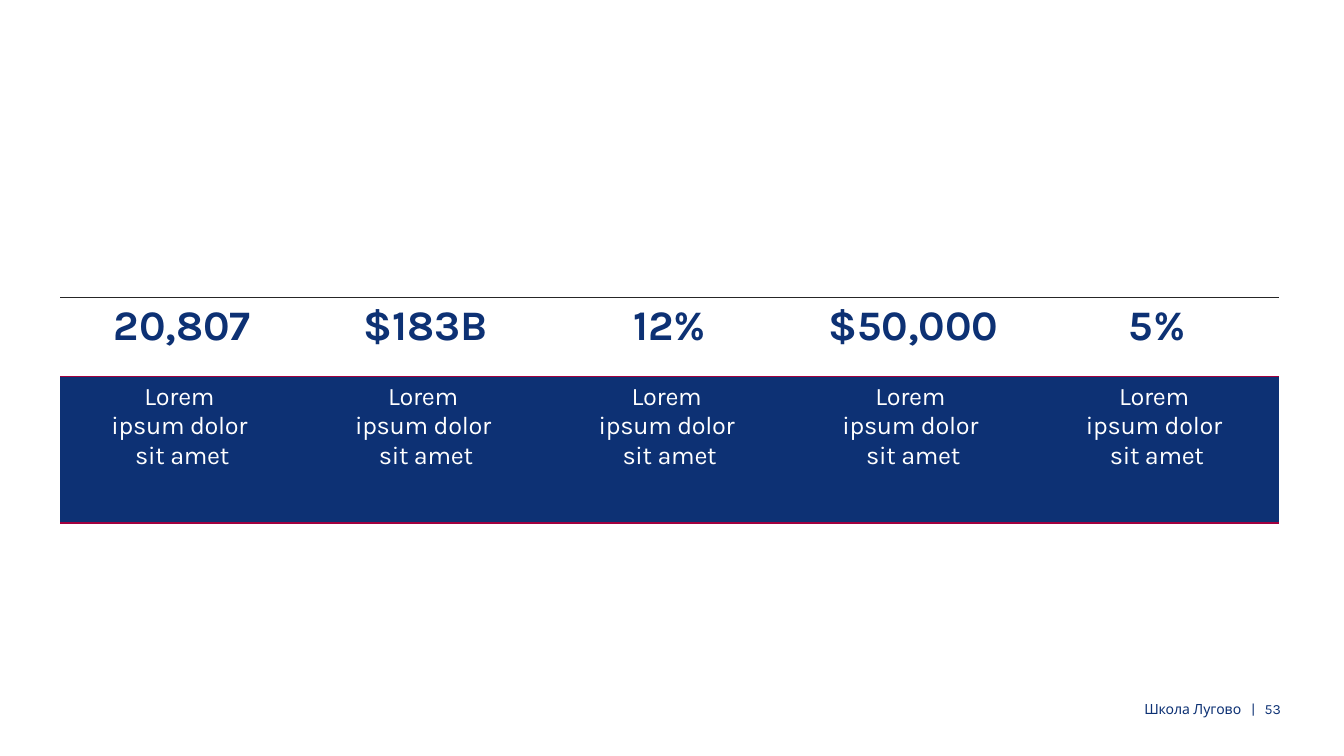
import dataclasses

import lxml.etree
import pptx
import pptx.dml.color
import pptx.enum.text
import pptx.oxml.ns
import pptx.util

qn = pptx.oxml.ns.qn


@dataclasses.dataclass(frozen=True)
class Theme:
    font: str = "Karla"
    navy: str = "0D3174"
    crimson: str = "A1003E"
    rule: str = "262626"
    white: str = "FFFFFF"
    figure_size: int = 30
    label_size: int = 18
    footer_size: int = 10
    tracking: int = -20
    table_style: str = "{2D5ABB26-0587-4C30-8999-92F81FD0307C}"


class SlideBuilder:
    def __init__(self, prs, theme):
        self.prs = prs
        self.theme = theme
        self.slide = prs.slides.add_slide(prs.slide_layouts[6])

    def x(self, percent):
        return round(self.prs.slide_width * percent / 100)

    def y(self, percent):
        return round(self.prs.slide_height * percent / 100)

    def style(self, p, size, color, bold=False, tracking=None):
        for r in p.runs:
            r.font.name = self.theme.font
            r.font.size = pptx.util.Pt(size)
            r.font.bold = bold
            r.font.color.rgb = pptx.dml.color.RGBColor.from_string(color)
            if tracking is not None:
                r.font._element.set("spc", str(tracking))

    def border(self, cell, edge, color, width):
        tcPr = cell._tc.get_or_add_tcPr()
        ln = lxml.etree.SubElement(tcPr, qn(f"a:ln{edge}"), w=str(pptx.util.Pt(width)))
        fill = lxml.etree.SubElement(ln, qn("a:solidFill"))
        lxml.etree.SubElement(fill, qn("a:srgbClr"), val=color)

    def cell(self, cell, text, size, color, bold=False, tracking=None, fill=None):
        cell.text_frame.text = text
        for p in cell.text_frame.paragraphs:
            p.alignment = pptx.enum.text.PP_ALIGN.CENTER
            self.style(p, size, color, bold, tracking)
        if fill:
            cell.fill.solid()
            cell.fill.fore_color.rgb = pptx.dml.color.RGBColor.from_string(fill)
        else:
            cell.fill.background()

    def stat_table(self, stats, left, top, column, rows):
        t = self.theme
        frame = self.slide.shapes.add_table(
            len(rows), len(stats), self.x(left), self.y(top),
            self.x(column * len(stats)), self.y(sum(rows)))
        table = frame.table
        table.first_row = table.horz_banding = False
        table._tbl.tblPr.find(qn("a:tableStyleId")).text = t.table_style
        for row, height in zip(table.rows, rows):
            row.height = self.y(height)
        for i, (figure, label) in enumerate(stats):
            table.columns[i].width = self.x(column)
            head, body = table.cell(0, i), table.cell(1, i)
            self.border(head, "T", t.rule, 0.75)
            self.border(head, "B", t.crimson, 1)
            self.border(body, "T", t.crimson, 1)
            self.border(body, "B", t.crimson, 1)
            self.cell(head, figure, t.figure_size, t.navy, bold=True)
            self.cell(body, label, t.label_size, t.white, tracking=t.tracking, fill=t.navy)

    def footer(self, text, left, top, width, height, stops):
        sp = self.slide.shapes.add_textbox(
            self.x(left), self.y(top), self.x(width), self.y(height))
        tf = sp.text_frame
        tf.word_wrap = True
        tf.margin_left = tf.margin_right = tf.margin_top = tf.margin_bottom = 0
        p = tf.paragraphs[0]
        p.text = text
        tabs = lxml.etree.SubElement(p._p.get_or_add_pPr(), qn("a:tabLst"))
        for position, align in stops:
            lxml.etree.SubElement(
                tabs, qn("a:tab"), pos=str(self.x(position)), algn=align)
        self.style(p, self.theme.footer_size, self.theme.navy)


def main():
    prs = pptx.Presentation()
    prs.slide_width = pptx.util.Inches(13.33)
    prs.slide_height = pptx.util.Inches(7.5)
    builder = SlideBuilder(prs, Theme())
    label = "Lorem \nipsum dolor \nsit amet"
    figures = ["20,807", "$183B", "12%", "$50,000", "5%"]
    builder.stat_table([(figure, label) for figure in figures],
                       left=4.5, top=39.33, column=18.13, rows=[10.53, 19.33])
    builder.footer("\tШкола Лугово\t|\t53", left=75.55, top=92.67, width=19.8, height=5.33,
                   stops=[(16.8, "r"), (17.7, "ctr"), (19.75, "r")])
    prs.save("out.pptx")


if __name__ == "__main__":
    main()
